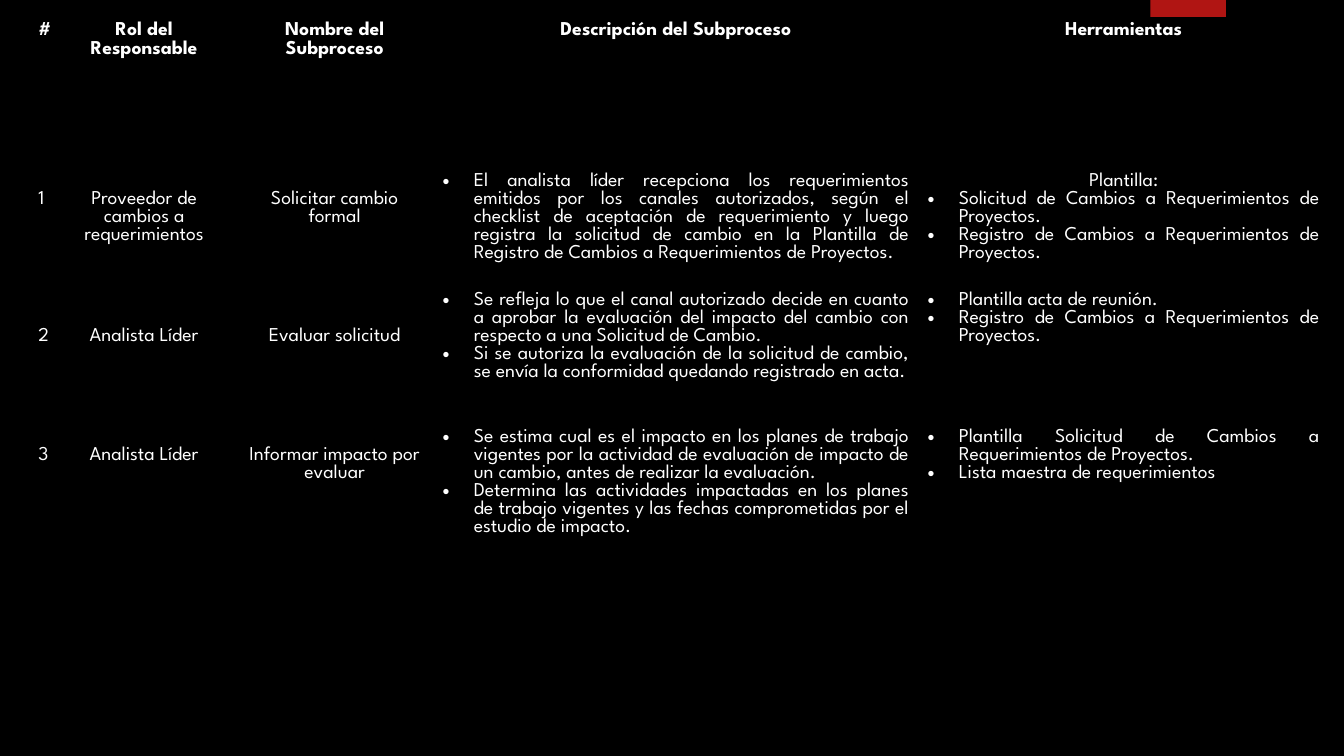
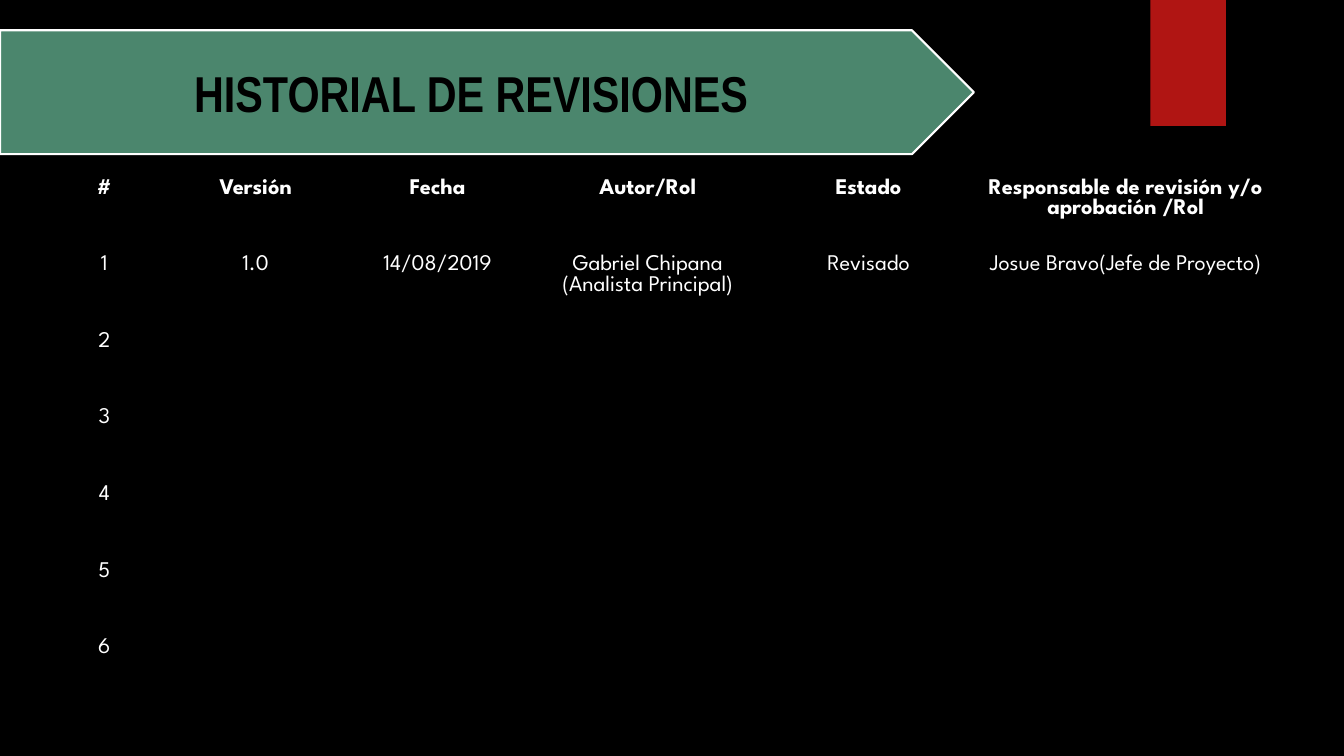
from dataclasses import dataclass

from lxml.etree import SubElement
from pptx import Presentation
from pptx.dml.color import RGBColor
from pptx.enum.shapes import MSO_SHAPE
from pptx.enum.text import MSO_ANCHOR, MSO_AUTO_SIZE, PP_ALIGN
from pptx.oxml.ns import qn
from pptx.util import Inches, Pt


@dataclass(frozen=True)
class Theme:
    black: RGBColor = RGBColor.from_string("000000")
    white: RGBColor = RGBColor.from_string("FFFFFF")
    red: RGBColor = RGBColor.from_string("B01513")
    green: RGBColor = RGBColor.from_string("4B866D")
    body: str = "League Spartan"
    head: str = "Arial Narrow"
    title: int = 36
    small: int = 14
    large: int = 16


theme = Theme()
PLAIN = "{2D5ABB26-0587-4C30-8999-92F81FD0307C}"  # table style without grid
LINE = 0.18  # height of one text line in the process table


def add_text(para, text, size, bold, color=theme.white, face=theme.body):
    run = para.add_run()
    run.text = text
    run.font.size = Pt(size)
    run.font.bold = bold
    run.font.name = face
    run.font.color.rgb = color


def add_grid(slide, left, top, widths, heights, rows, size, drops):
    """Fill a black table; lines that start with • become bullets.
    drops holds, per row, how many lines each cell's text is lowered."""
    frame = slide.shapes.add_table(
        len(rows), len(widths), Inches(left), Inches(top),
        Inches(sum(widths)), Inches(sum(heights)))
    for style in frame.element.iter(qn("a:tableStyleId")):
        style.text = PLAIN
    grid = frame.table
    for col, width in zip(grid.columns, widths):
        col.width = Inches(width)
    for row, height in zip(grid.rows, heights):
        row.height = Inches(height)
    for r, row in enumerate(rows):
        for c, text in enumerate(row):
            cell = grid.cell(r, c)
            cell.fill.solid()
            cell.fill.fore_color.rgb = theme.black
            cell.margin_left = cell.margin_right = Inches(0.09)
            cell.margin_top = Inches(0.05 + LINE * drops[r][c])
            if not text:
                continue
            for n, line in enumerate(text.split("\n")):
                box = cell.text_frame
                para = box.add_paragraph() if n else box.paragraphs[0]
                para.alignment = PP_ALIGN.CENTER
                if line.startswith("•"):
                    para.alignment = PP_ALIGN.JUSTIFY
                    props = para._p.get_or_add_pPr()
                    props.set("marL", str(Inches(0.31)))
                    props.set("indent", str(-Inches(0.31)))
                    SubElement(props, qn("a:buFont")).set("typeface", "Arial")
                    SubElement(props, qn("a:buChar")).set("char", "•")
                add_text(para, line.lstrip("• "), size, r == 0)


deck = Presentation()
deck.slide_width = Inches(13.33)
deck.slide_height = Inches(7.5)
steps = deck.slides.add_slide(deck.slide_layouts[6])
log = deck.slides.add_slide(deck.slide_layouts[5])

# Shared look: black ground and red tab, kept on the master
master = deck.slide_master
master.background.fill.solid()
master.background.fill.fore_color.rgb = theme.black
tab = steps.shapes.add_shape(
    MSO_SHAPE.RECTANGLE, Inches(11.41), 0, Inches(0.75), Inches(1.25))
tab.shadow.inherit = False
tab.fill.solid()
tab.fill.fore_color.rgb = theme.red
tab.line.fill.background()
master.shapes.element.append(tab.element)

# Slide 1: process steps
step_rows = [
    ["#", "Rol del Responsable", "Nombre del Subproceso",
     "Descripción del Subproceso", "Herramientas"],
    ["1", "Proveedor de cambios a requerimientos", "Solicitar cambio formal",
     "• El analista líder recepciona los requerimientos emitidos por los "
     "canales autorizados, según el checklist de aceptación de requerimiento "
     "y luego registra la solicitud de cambio en la Plantilla de Registro de "
     "Cambios a Requerimientos de Proyectos.",
     "Plantilla:\n"
     "• Solicitud de Cambios a Requerimientos de Proyectos.\n"
     "• Registro de Cambios a Requerimientos de Proyectos."],
    ["2", "Analista Líder", "Evaluar solicitud",
     "• Se refleja lo que el canal autorizado decide en cuanto a aprobar la "
     "evaluación del impacto del cambio con respecto a una Solicitud de "
     "Cambio.\n"
     "• Si se autoriza la evaluación de la solicitud de cambio, se envía la "
     "conformidad quedando registrado en acta.",
     "• Plantilla acta de reunión.\n"
     "• Registro de Cambios a Requerimientos de Proyectos."],
    ["3", "Analista Líder", "Informar impacto por evaluar",
     "• Se estima cual es el impacto en los planes de trabajo vigentes por la "
     "actividad de evaluación de impacto de un cambio, antes de realizar la "
     "evaluación.\n"
     "• Determina las actividades impactadas en los planes de trabajo "
     "vigentes y las fechas comprometidas por el estudio de impacto.",
     "• Plantilla Solicitud de Cambios a Requerimientos de Proyectos.\n"
     "• Lista maestra de requerimientos"],
]
step_drops = [[0] * 5, [2, 2, 2, 1, 1], [2, 2, 2, 0, 0], [2, 2, 2, 1, 1]]
add_grid(steps, 0.29, 0.17, [0.23, 1.82, 1.96, 4.81, 4.07],
         [1.31, 1.36, 1.18, 2.05], step_rows, theme.small, step_drops)

# Slide 2: banner behind the title
banner = log.shapes.add_shape(
    MSO_SHAPE.PENTAGON, 0, Inches(0.3), Inches(9.66), Inches(1.23))
banner.shadow.inherit = False
banner.fill.solid()
banner.fill.fore_color.rgb = theme.green
banner.line.color.rgb = theme.white
banner.line.width = Pt(1.5)

title = log.shapes.title
title.left, title.top = 0, Inches(0.3)
title.width, title.height = Inches(9.35), Inches(1.23)
log.shapes.element.append(title.element)  # bring in front of the banner
title.text_frame.auto_size = MSO_AUTO_SIZE.NONE
title.text_frame.vertical_anchor = MSO_ANCHOR.MIDDLE
para = title.text_frame.paragraphs[0]
para.alignment = PP_ALIGN.CENTER
add_text(para, "HISTORIAL DE REVISIONES", theme.title, True,
         theme.black, theme.head)

# Slide 2: revision log, with open rows 2 to 6
log_rows = [
    ["#", "Versión", "Fecha", "Autor/Rol", "Estado",
     "Responsable de revisión y/o aprobación /Rol"],
    ["1", "1.0", "14/08/2019", "Gabriel Chipana\n(Analista Principal)",
     "Revisado", "Josue Bravo(Jefe de Proyecto)"],
]
log_rows += [[str(n)] + [""] * 5 for n in range(2, 7)]
add_grid(log, 0.49, 1.72, [1.09, 1.91, 1.7, 2.47, 1.91, 3.19],
         [0.76] * 7, log_rows, theme.large, [[0] * 6] * 7)

deck.save("out.pptx")
